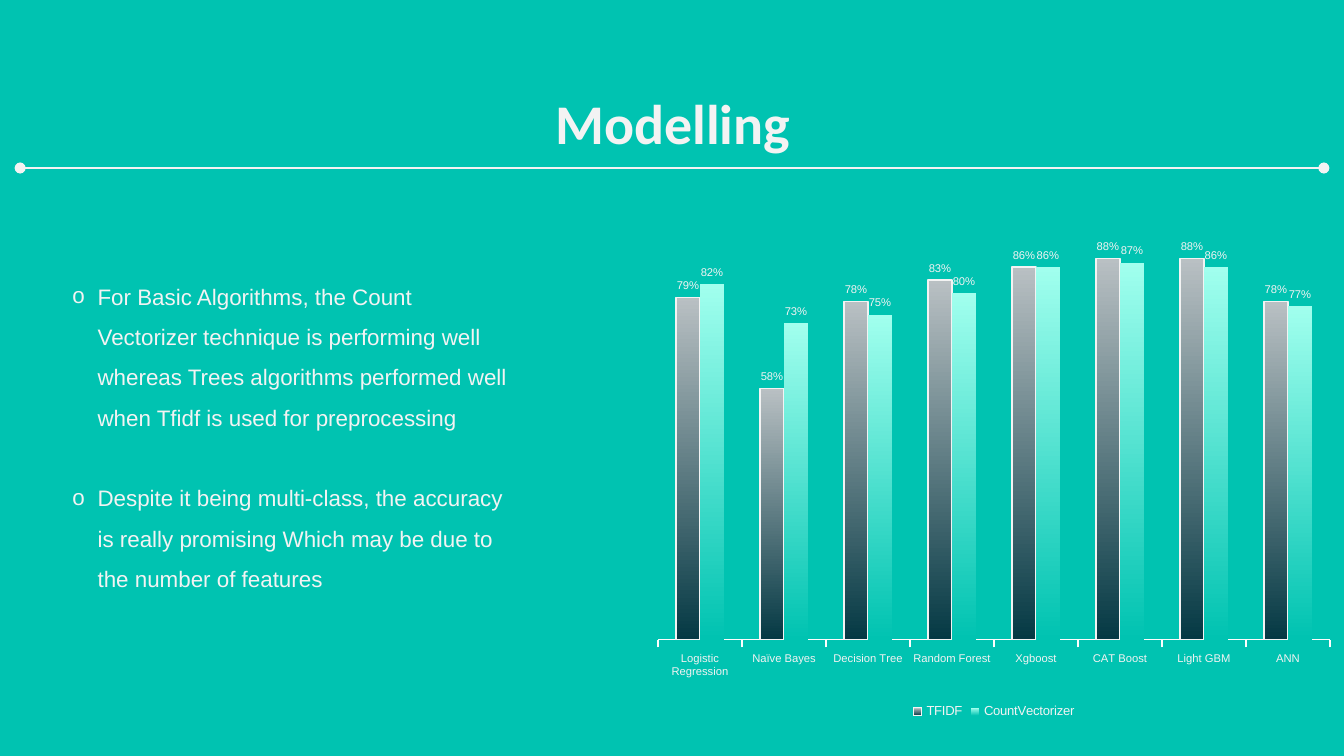
import pptx
import pptx.chart.data
import pptx.dml.color
import pptx.enum.chart
import pptx.enum.shapes
import pptx.enum.text
import pptx.oxml
import pptx.oxml.ns
import pptx.util
from lxml import etree

Pt = pptx.util.Pt
qn = pptx.oxml.ns.qn
TEAL, PALE = "00C3B1", "F3F3F3"


def rgb(value):
    return pptx.dml.color.RGBColor.from_string(value)


class Deck:
    body_font, title_font = "Arial", "Calibri"

    def __init__(self, width, height):
        self.prs = pptx.Presentation()
        self.prs.slide_width, self.prs.slide_height = Pt(width), Pt(height)
        self.slide = None

    def new_slide(self, background):
        self.slide = self.prs.slides.add_slide(self.prs.slide_layouts[5])
        self.slide.background.fill.solid()
        self.slide.background.fill.fore_color.rgb = rgb(background)

    def style(self, font, size, name=body_font, bold=False):
        font.size, font.name, font.bold = Pt(size), name, bold
        font.color.rgb = rgb(PALE)

    def title(self, text, left, top, width, height):
        heading = self.slide.shapes.title
        heading.left, heading.top = Pt(left), Pt(top)
        heading.width, heading.height = Pt(width), Pt(height)
        frame = heading.text_frame
        frame.auto_size = pptx.enum.text.MSO_AUTO_SIZE.NONE
        frame.vertical_anchor = pptx.enum.text.MSO_ANCHOR.TOP
        frame.margin_left = frame.margin_right = Pt(7.2)
        frame.margin_top = frame.margin_bottom = Pt(7.2)
        paragraph = frame.paragraphs[0]
        paragraph.alignment = pptx.enum.text.PP_ALIGN.CENTER
        run = paragraph.add_run()
        run.text = text
        self.style(run.font, 30, self.title_font, True)

    def rule(self, left, right, y):
        line = self.slide.shapes.add_connector(
            pptx.enum.shapes.MSO_CONNECTOR.STRAIGHT, Pt(left), Pt(y), Pt(right), Pt(y))
        line.line.color.rgb = rgb(PALE)
        line.line.width = Pt(1.5)
        outline = line.line._get_or_add_ln()
        for end in ("a:headEnd", "a:tailEnd"):
            etree.SubElement(outline, qn(end), type="oval")
        etree.SubElement(line._element.spPr, qn("a:effectLst"))

    def bullets(self, points, left, top, width, height, indent, gap):
        box = self.slide.shapes.add_textbox(Pt(left), Pt(top), Pt(width), Pt(height))
        frame = box.text_frame
        frame.word_wrap = True
        frame.auto_size = pptx.enum.text.MSO_AUTO_SIZE.SHAPE_TO_FIT_TEXT
        frame.vertical_anchor = pptx.enum.text.MSO_ANCHOR.MIDDLE
        frame.margin_left = frame.margin_right = Pt(7.2)
        frame.margin_top = frame.margin_bottom = Pt(7.2)
        for index, point in enumerate(points):
            paragraph = frame.add_paragraph() if index else frame.paragraphs[0]
            paragraph.line_spacing = 1.5
            if index:
                paragraph.space_before = Pt(gap)
            properties = paragraph._p.get_or_add_pPr()
            properties.set("marL", str(Pt(indent)))
            properties.set("indent", str(-Pt(indent)))
            color = etree.SubElement(properties, qn("a:buClr"))
            etree.SubElement(color, qn("a:srgbClr"), val=PALE)
            etree.SubElement(properties, qn("a:buFont"), typeface=self.body_font)
            etree.SubElement(properties, qn("a:buChar"), char="o")
            run = paragraph.add_run()
            run.text = point
            self.style(run.font, 12)

    def columns(self, categories, series, left, top, width, height):
        data = pptx.chart.data.CategoryChartData(number_format="0%")
        data.categories = categories
        for name, values, *_ in series:
            data.add_series(name, values)
        chart = self.slide.shapes.add_chart(
            pptx.enum.chart.XL_CHART_TYPE.COLUMN_CLUSTERED,
            Pt(left), Pt(top), Pt(width), Pt(height), data).chart
        chart.has_title = False
        self.style(chart.font, 10)
        chart.font.color.rgb = rgb("0C343D")

        # Legend
        chart.has_legend = True
        chart.legend.position = pptx.enum.chart.XL_LEGEND_POSITION.BOTTOM
        chart.legend.include_in_layout = False
        self.style(chart.legend.font, 7)

        # Axes
        accuracy = chart.value_axis
        accuracy.minimum_scale, accuracy.maximum_scale = 0, 1
        accuracy.has_major_gridlines = False
        accuracy.visible = False
        models = chart.category_axis
        models.major_tick_mark = pptx.enum.chart.XL_TICK_MARK.OUTSIDE
        models.format.line.color.rgb = rgb("FDFDFD")
        models.format.line.width = Pt(0.75)
        self.style(models.tick_labels.font, 6)

        # Gradient columns with value labels
        plot = chart.plots[0]
        plot.vary_by_categories = False
        plot.gap_width, plot.overlap = 150, 0
        for column, (_, _, stops, outline) in zip(plot.series, series):
            fill = column.format.fill
            fill.gradient()
            fill.gradient_angle = 90
            for stop, color in zip(fill.gradient_stops, stops):
                stop.color.rgb = rgb(color)
            if outline:
                column.format.line.color.rgb = rgb(outline)
                column.format.line.width = Pt(0.75)
            else:
                column.format.line.fill.background()
            labels = column.data_labels
            labels.show_value = True
            labels.number_format = "0%"
            labels.number_format_is_linked = False
            labels.position = pptx.enum.chart.XL_LABEL_POSITION.OUTSIDE_END
            self.style(labels.font, 6)

        # Inner plot area as fractions of the chart
        area = chart._chartSpace.chart.plotArea
        for old in area.findall(qn("c:layout")):
            area.remove(old)
        layout = etree.Element(qn("c:layout"))
        manual = etree.SubElement(layout, qn("c:manualLayout"))
        for key, value in (("layoutTarget", "inner"), ("xMode", "edge"), ("yMode", "edge"),
                           ("x", "0.02"), ("y", "0.02"), ("w", "0.96"), ("h", "0.82")):
            etree.SubElement(manual, qn("c:" + key), val=value)
        area.insert(0, layout)


def main():
    deck = Deck(720, 405)
    deck.new_slide(TEAL)

    # Heading and rule
    deck.title("Modelling", 56.9, 40.3, 607, 45.4)

    # Accuracy by model and text representation
    models = ["Logistic Regression", "Naïve Bayes", "Decision Tree", "Random Forest",
              "Xgboost", "CAT Boost", "Light GBM", "ANN"]
    techniques = [
        ("TFIDF", [0.79, 0.58, 0.78, 0.83, 0.86, 0.88, 0.88, 0.78],
         ("053944", "B9C0C3"), PALE),
        ("CountVectorizer", [0.82, 0.73, 0.75, 0.8, 0.86, 0.87, 0.86, 0.77],
         (TEAL, "A1FFEE"), None),
    ]
    deck.columns(models, techniques, 345, 105, 375, 283)

    # Findings
    findings = [
        "For Basic Algorithms, the Count Vectorizer technique is performing well "
        "whereas Trees algorithms performed well when Tfidf is used for preprocessing",
        "Despite it being multi-class, the accuracy is really promising "
        "Which may be due to the number of features",
    ]
    deck.bullets(findings, 31.7, 141, 250, 179.3, indent=13.5, gap=21.6)

    deck.rule(10.8, 709.2, 90)
    deck.prs.save("out.pptx")


if __name__ == "__main__":
    main()
